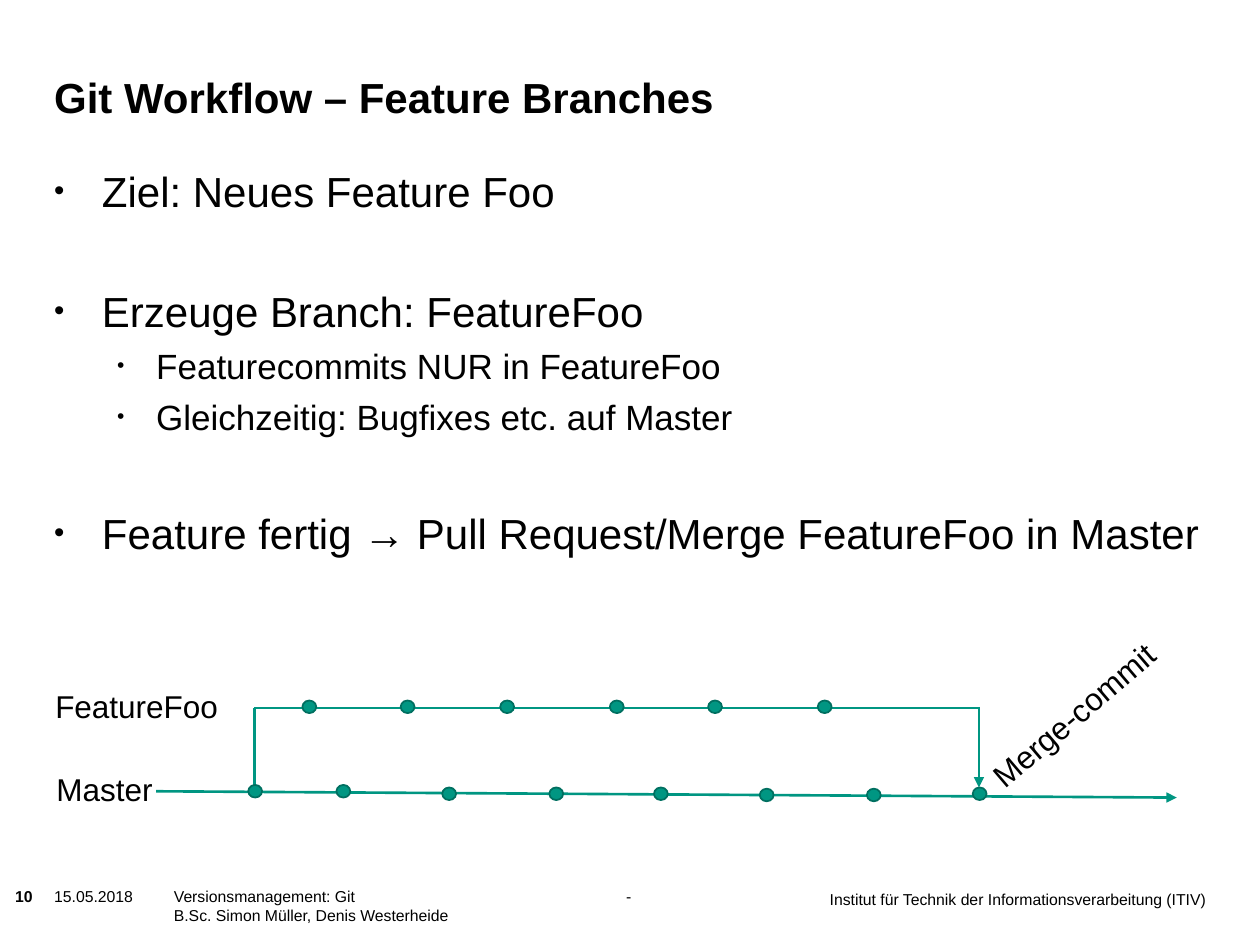
import pptx
import pptx.util
import pptx.dml.color
import pptx.enum.text
import pptx.enum.shapes
import pptx.oxml

Inches = pptx.util.Inches
Pt = pptx.util.Pt
align = pptx.enum.text.PP_ALIGN
anchor = pptx.enum.text.MSO_ANCHOR
ns = 'xmlns:a="http://schemas.openxmlformats.org/drawingml/2006/main"'
green, dark, black = "009682", "006F60", "000000"

deck = pptx.Presentation()
deck.slide_width, deck.slide_height = Inches(10), Inches(7.5)
slide = deck.slides.add_slide(deck.slide_layouts[6])
shapes = slide.shapes


def color(code):
    return pptx.dml.color.RGBColor.from_string(code)


def write(text, box=None, frame=None, size=9, bold=False, side=align.LEFT,
          top=anchor.TOP, wrap=True, pad=0, gap=0, turn=0):
    if box:
        shape = shapes.add_textbox(*map(Inches, box))
        shape.rotation = turn
        frame = shape.text_frame
        frame.word_wrap = wrap
        frame.vertical_anchor = top
        frame.margin_left = frame.margin_right = Inches(pad)
        frame.margin_top = frame.margin_bottom = Inches(pad / 2)
    for line in text.split("\n"):
        fresh = len(frame.paragraphs) == 1 and not frame.text
        para = frame.paragraphs[0] if fresh else frame.add_paragraph()
        para.alignment = side
        para.space_before = Pt(gap)
        run = para.add_run()
        run.text = line
        run.font.name = "Arial"
        run.font.size = Pt(size)
        run.font.bold = bold
        run.font.color.rgb = color(black)
    return frame


write("Git Workflow – Feature Branches", box=(0.43, 0.36, 7.56, 0.61),
      size=24, bold=True, top=anchor.BOTTOM)

points = [
    ("Ziel: Neues Feature Foo", 0, 5),
    ("Erzeuge Branch: FeatureFoo", 0, 40),
    ("Featurecommits NUR in FeatureFoo", 1, 5),
    ("Gleichzeitig: Bugfixes etc. auf Master", 1, 5),
    ("Feature fertig → Pull Request/Merge FeatureFoo in Master", 0, 40),
]
levels = [(24, 0.38, 0.38, 70), (20, 0.81, 0.31, 60)]
body = write("", box=(0.43, 1.31, 9.14, 3.6))
body.clear()
for text, level, gap in points:
    size, left, hang, scale = levels[level]
    write(text, frame=body, size=size, gap=gap)
    para = body.paragraphs[-1]
    para.level = level
    props = para._p.get_or_add_pPr()
    props.set("marL", str(Inches(left)))
    props.set("indent", str(-Inches(hang)))
    for tag in (f'buSzPct {ns} val="{scale * 1000}"', f'buFont {ns} typeface="Arial"',
                f'buChar {ns} char="•"'):
        props.append(pptx.oxml.parse_xml(f"<a:{tag}/>"))

lines = [
    (2.02, 5.62, 7.77, 5.62, False),
    (1.24, 6.28, 9.34, 6.33, True),
    (2.02, 6.29, 2.02, 5.62, False),
    (7.77, 5.61, 7.77, 6.25, True),
]
for *ends, arrow in lines:
    link = shapes.add_connector(pptx.enum.shapes.MSO_CONNECTOR.STRAIGHT, *map(Inches, ends))
    link.line.color.rgb = color(green)
    link.line.width = Pt(1.5)
    if arrow:
        link.line._get_or_add_ln().append(
            pptx.oxml.parse_xml(f'<a:tailEnd {ns} type="triangle"/>'))
    link._element.spPr.append(pptx.oxml.parse_xml(f"<a:effectLst {ns}/>"))

feature = [(x, 5.56) for x in (2.4, 3.18, 3.97, 4.84, 5.62, 6.49)]
master = [(1.97, 6.23), (2.67, 6.23), (3.51, 6.25), (4.36, 6.25), (5.19, 6.25),
          (6.03, 6.26), (6.88, 6.26), (7.72, 6.25)]
for x, y in feature + master:
    dot = shapes.add_shape(pptx.enum.shapes.MSO_SHAPE.OVAL,
                           Inches(x), Inches(y), Inches(0.11), Inches(0.1))
    dot.shadow.inherit = False
    dot.fill.solid()
    dot.fill.fore_color.rgb = color(green)
    dot.line.color.rgb = color(dark)
    dot.line.width = Pt(1)

write("FeatureFoo", box=(0.34, 5.4, 1.51, 0.4), size=18, wrap=False, pad=0.1)
write("Master", box=(0.35, 6.06, 0.97, 0.4), size=18, wrap=False, pad=0.1)
write("Merge-commit", box=(7.62, 5.47, 1.81, 0.4), size=18, wrap=False, pad=0.1, turn=319.5)

write("10", box=(0.12, 7.04, 0.44, 0.19), bold=True)
write("15.05.2018", box=(0.43, 7.04, 0.95, 0.12))
foot = write("Versionsmanagement: Git\t-\nB.Sc. Simon Müller, Denis Westerheide",
             box=(1.38, 7.04, 3.78, 0.39))
foot.paragraphs[0]._p.get_or_add_pPr().append(pptx.oxml.parse_xml(
    f'<a:tabLst {ns}><a:tab pos="{Inches(3.59)}" algn="l"/></a:tabLst>'))
write("Institut für Technik der Informationsverarbeitung (ITIV)",
      box=(6.34, 7.06, 3.23, 0.39), side=align.RIGHT)

deck.save("out.pptx")
